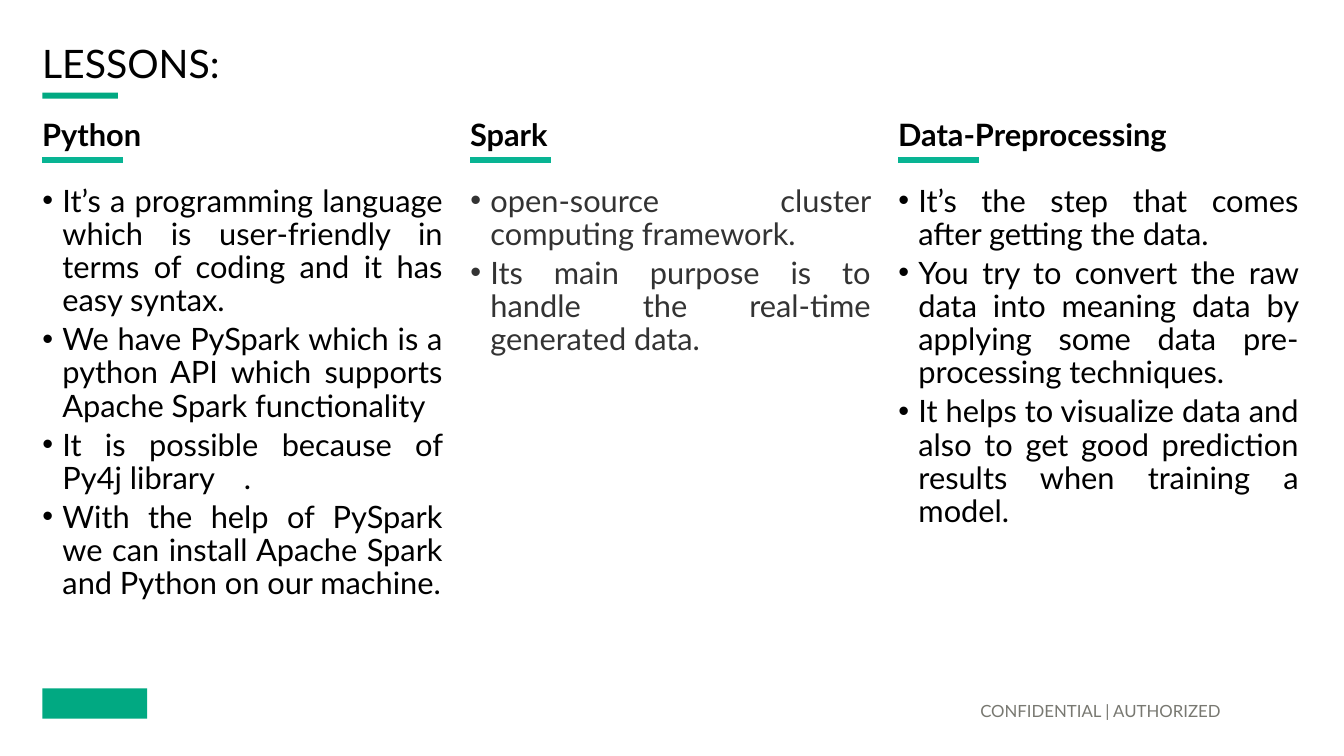
import pptx
import pptx.util
import pptx.dml.color
import pptx.enum.shapes
import pptx.enum.text
import lxml.etree
from pptx.oxml.ns import qn

Inches = pptx.util.Inches
Pt = pptx.util.Pt
RGBColor = pptx.dml.color.RGBColor
ALIGN = pptx.enum.text.PP_ALIGN
ANCHOR = pptx.enum.text.MSO_ANCHOR

BLACK = RGBColor(0x00, 0x00, 0x00)
CHARCOAL = RGBColor(0x33, 0x33, 0x33)
GRAY = RGBColor(0x78, 0x78, 0x71)
GREEN = RGBColor(0x01, 0xA9, 0x82)
RULE_GREEN = RGBColor(0x08, 0xB4, 0x93)

MARGIN = 0.42
COLUMN_PITCH = (8.91 - MARGIN) / 2
COLUMN_WIDTH = 3.97
TEXT_INSET = 0.1

LESSONS = [
    ("Python", BLACK, [
        "It’s a programming language which is user-friendly in terms of coding and it has easy syntax.",
        "We have PySpark which is a python API which supports Apache Spark functionality",
        "It is possible because of Py4j library\t.",
        "With the help of PySpark we can install Apache Spark and Python on our machine.",
    ]),
    ("Spark", CHARCOAL, [
        "open-source cluster computing framework.",
        "Its main purpose is to handle the real-time generated data.",
    ]),
    ("Data-Preprocessing", BLACK, [
        "It’s the step that comes after getting the data.",
        "You try to convert the raw data into meaning data by applying some data pre-processing techniques.",
        "It helps to visualize data and also to get good prediction results when training a model.",
    ]),
]


class LessonSlide:
    font = "Lato"

    def __init__(self, prs):
        self.s = prs.slides.add_slide(prs.slide_layouts[6])

    def bar(self, x, y, w, h):
        sp = self.s.shapes.add_shape(
            pptx.enum.shapes.MSO_SHAPE.RECTANGLE,
            Inches(x), Inches(y), Inches(w), Inches(h))
        sp.shadow.inherit = False
        sp.fill.solid()
        sp.fill.fore_color.rgb = GREEN
        sp.line.fill.background()

    def rule(self, x, y, length):
        line = self.s.shapes.add_connector(
            pptx.enum.shapes.MSO_CONNECTOR.STRAIGHT,
            Inches(x), Inches(y), Inches(x + length), Inches(y))
        line.line.color.rgb = RULE_GREEN
        line.line.width = Pt(4.5)
        lxml.etree.SubElement(line._element.spPr, qn("a:effectLst"))

    def text(self, x, y, w, h, paragraphs, size, color=BLACK, bold=False,
             align=ALIGN.LEFT, anchor=ANCHOR.TOP, inset_x=TEXT_INSET,
             inset_y=TEXT_INSET, bullets=False):
        tf = self.s.shapes.add_textbox(
            Inches(x), Inches(y), Inches(w), Inches(h)).text_frame
        tf.word_wrap = True
        tf.vertical_anchor = anchor
        tf.margin_left = tf.margin_right = Inches(inset_x)
        tf.margin_top = tf.margin_bottom = Inches(inset_y)
        for i, words in enumerate(paragraphs):
            p = tf.add_paragraph() if i else tf.paragraphs[0]
            p.alignment = align
            p.line_spacing = 0.9
            if bullets:
                p.space_before = Pt(4)
                self.bullet(p)
            r = p.add_run()
            r.text = words
            r.font.name = self.font
            r.font.size = Pt(size)
            r.font.bold = bold
            r.font.color.rgb = color

    def bullet(self, p):
        pPr = p._p.get_or_add_pPr()
        pPr.set("marL", str(Inches(0.2)))
        pPr.set("indent", str(-Inches(0.2)))
        lxml.etree.SubElement(pPr, qn("a:buFont")).set("typeface", "Arial")
        lxml.etree.SubElement(pPr, qn("a:buChar")).set("char", "•")

    def lesson(self, x, heading, color, points):
        """Draw one column: bulleted points, heading and the rule between."""
        self.text(x, 1.74, COLUMN_WIDTH, 5.16, points, 22, color,
                  align=ALIGN.JUSTIFY, inset_x=0, bullets=True)
        self.text(x - TEXT_INSET, 1.09, COLUMN_WIDTH + TEXT_INSET, 0.42,
                  [heading], 22, bold=True)
        self.rule(x, 1.59, 0.8)


def main():
    prs = pptx.Presentation()
    prs.slide_width = Inches(13.33)
    prs.slide_height = Inches(7.5)

    slide = LessonSlide(prs)
    slide.bar(MARGIN, 6.83, 1.04, 0.3)
    slide.bar(MARGIN, 0.92, 0.75, 0.06)
    slide.text(MARGIN - TEXT_INSET, 0.43, 12.57, 0.44, ["LESSONS:"], 28,
               anchor=ANCHOR.MIDDLE)
    for i, (heading, color, points) in enumerate(LESSONS):
        slide.lesson(MARGIN + i * COLUMN_PITCH, heading, color, points)
    slide.text(4.07, 6.7, 8.18, 0.45, ["CONFIDENTIAL | AUTHORIZED "], 12, GRAY,
               align=ALIGN.RIGHT, anchor=ANCHOR.BOTTOM, inset_y=0)

    prs.save("out.pptx")


if __name__ == "__main__":
    main()
